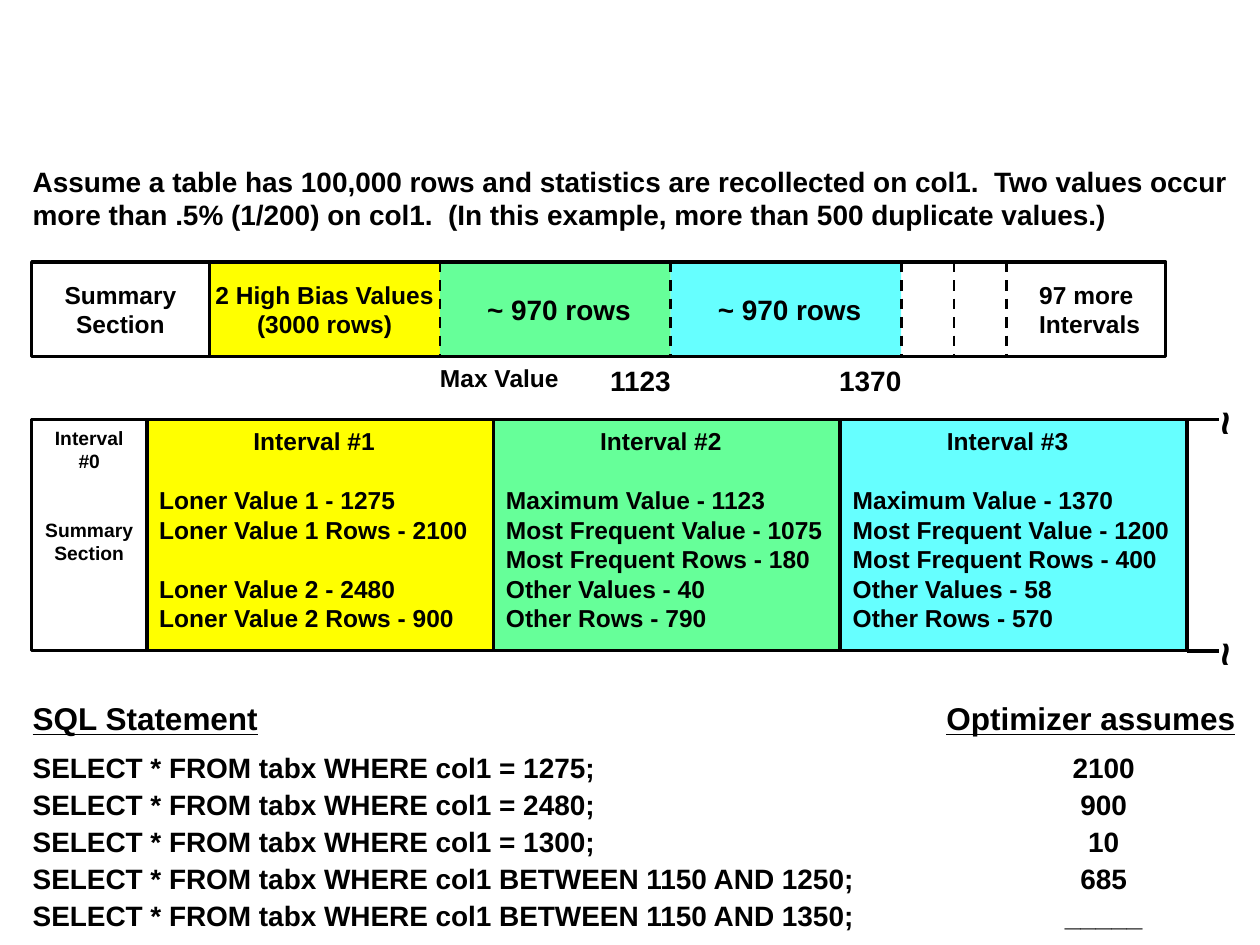
import pptx
import pptx.dml.color
import pptx.enum.dml
import pptx.enum.shapes
import pptx.enum.text
import pptx.oxml.ns
import pptx.util
from lxml import etree

Cm, Pt = pptx.util.Cm, pptx.util.Pt
RGB = pptx.dml.color.RGBColor
ALIGN = pptx.enum.text.PP_ALIGN
ANCHOR = pptx.enum.text.MSO_ANCHOR
DASH = pptx.enum.dml.MSO_LINE.DASH
qn = pptx.oxml.ns.qn

BLACK = RGB(0x00, 0x00, 0x00)
YELLOW = RGB(0xFF, 0xFF, 0x00)
GREEN = RGB(0x66, 0xFF, 0x99)
CYAN = RGB(0x66, 0xFF, 0xFF)
FONT = "Arial"
PAD = 0.25

BAR_CELLS = [
    (YELLOW, ["2 High Bias Values", "(3000 rows)"], None),
    (GREEN, ["~ 970 rows"], "1123"),
    (CYAN, ["~ 970 rows"], "1370"),
]
INTERVALS = [
    (YELLOW, ["\tInterval #1", "Loner Value 1 - 1275", "Loner Value 1 Rows - 2100",
              "Loner Value 2 - 2480", "Loner Value 2 Rows - 900"], {1: 17, 3: 17}),
    (GREEN, ["\tInterval #2", "Maximum Value - 1123", "Most Frequent Value - 1075",
             "Most Frequent Rows - 180", "Other Values - 40", "Other Rows - 790"], {1: 17}),
    (CYAN, ["\tInterval #3", "Maximum Value - 1370", "Most Frequent Value - 1200",
            "Most Frequent Rows - 400", "Other Values - 58", "Other Rows - 570"], {1: 17}),
]
QUERIES = [
    ("= 1275", "2100"),
    ("= 2480", "900"),
    ("= 1300", "10"),
    ("BETWEEN 1150 AND 1250", "685"),
    ("BETWEEN 1150 AND 1350", "_____"),
]


def write_text(frame, lines, size=14, align=ALIGN.LEFT, gaps=None, before=0, after=0,
               tab=None, underline=False):
    """Append paragraphs; gaps maps a line index to its space before, tab is (cm, kind)."""
    for index, line in enumerate(lines):
        first = frame.paragraphs[0]
        paragraph = frame.add_paragraph() if first.runs else first
        if tab:
            tab_list = etree.SubElement(paragraph._p.get_or_add_pPr(), qn("a:tabLst"))
            etree.SubElement(tab_list, qn("a:tab"), pos=str(Cm(tab[0])), algn=tab[1])
        paragraph.alignment = align
        paragraph.space_before = Pt((gaps or {}).get(index, before))
        paragraph.space_after = Pt(after)
        for part in filter(None, line.partition("\t")):
            run = paragraph.add_run()
            run.text = part
            run.font.name, run.font.size, run.font.bold = FONT, Pt(size), True
            run.font.color.rgb = BLACK
            run.font.underline = underline and part != "\t"


def set_frame(frame, insets, anchor):
    frame.word_wrap = True
    frame.vertical_anchor = anchor
    frame.margin_left, frame.margin_right = Cm(insets[0]), Cm(insets[1])
    frame.margin_top = frame.margin_bottom = Cm(0.13)


def add_label(slide, box, lines, insets=(0, 0), **text_format):
    label = slide.shapes.add_textbox(*map(Cm, box))
    set_frame(label.text_frame, insets, ANCHOR.TOP)
    write_text(label.text_frame, lines, **text_format)
    return label


def add_block(slide, box, lines=(), fill=None, border=None, insets=(0, 0),
              anchor=ANCHOR.MIDDLE, **text_format):
    block = slide.shapes.add_shape(pptx.enum.shapes.MSO_SHAPE.RECTANGLE, *map(Cm, box))
    block.shadow.inherit = False
    if fill is None:
        block.fill.background()
    else:
        block.fill.solid()
        block.fill.fore_color.rgb = fill
    if border:
        block.line.color.rgb, block.line.width = BLACK, Pt(border)
    else:
        block.line.fill.background()
    set_frame(block.text_frame, insets, anchor)
    write_text(block.text_frame, lines, **text_format)


def add_rule(slide, start, end, width, dash=None):
    rule = slide.shapes.add_connector(
        pptx.enum.shapes.MSO_CONNECTOR.STRAIGHT, *map(Cm, (*start, *end)))
    rule.line.color.rgb, rule.line.width = BLACK, Pt(width)
    if dash:
        rule.line.dash_style = dash
    etree.SubElement(rule._element.spPr, qn("a:effectLst"))


def build_histogram_bar(slide, left, top, width, height):
    summary_width, cell_width, tick_gap = 3.58, 4.65, 1.06
    cells_left = left + summary_width
    cells_right = cells_left + cell_width * len(BAR_CELLS)
    below = top + height

    add_block(slide, (left, top, summary_width, height), ["Summary", "Section"],
              align=ALIGN.CENTER)
    for index, (color, lines, maximum) in enumerate(BAR_CELLS):
        x = cells_left + index * cell_width
        if maximum:
            add_block(slide, (x, top, cell_width, height), lines, fill=color,
                      insets=(0.95, 0), size=16)
            add_label(slide, (x, below, cell_width, 0.94), [maximum], size=16,
                      align=ALIGN.RIGHT)
        else:
            add_block(slide, (x, top, cell_width, height), lines, fill=color,
                      align=ALIGN.CENTER)
    rest_left = cells_right + 2 * tick_gap
    add_block(slide, (rest_left, top, left + width - rest_left, height),
              ["97 more", "Intervals"], insets=(0.66, 0))
    add_label(slide, (cells_left + cell_width, below, 2.8, 0.86), ["Max Value"])

    add_block(slide, (left, top, width, height), border=2)
    add_rule(slide, (cells_left, top), (cells_left, below), 1.75)
    cell_edges = [cells_left + cell_width * n for n in (1, 2, 3)]
    for x in cell_edges + [cells_right + tick_gap, rest_left]:
        add_rule(slide, (x, top), (x, below), 1.5, DASH.DASH)


def build_interval_details(slide, left, top, width, height):
    summary_width, stub, tilde_width, tilde_height = 2.32, 0.64, 0.99, 1.27
    interval_width = (width - summary_width) / len(INTERVALS)
    for index, (color, lines, gaps) in enumerate(INTERVALS):
        x = left + summary_width + index * interval_width
        add_block(slide, (x, top, interval_width, height), lines, fill=color, border=2,
                  insets=(PAD, 0), anchor=ANCHOR.TOP, gaps=gaps, tab=(1.9, "l"))
    add_block(slide, (left, top, summary_width, height),
              ["Interval #0", "Summary", "Section"], border=2, insets=(PAD, PAD),
              anchor=ANCHOR.TOP, size=11, align=ALIGN.CENTER, gaps={1: 26})

    right = left + width
    for y in (top, top + height):
        add_rule(slide, (right, y), (right + stub, y), 2)
        tilde = add_label(slide, (right + 0.34, y - tilde_height / 2 + 0.08,
                                  tilde_width, tilde_height),
                          ["~"], size=24, align=ALIGN.CENTER)
        tilde.rotation = 90


def build_query_list(slide, box):
    queries = add_label(slide, box, ["SQL Statement\tOptimizer assumes"], (PAD, 0),
                        size=18, after=5.6, tab=(18.42, "l"), underline=True)
    rows = [f"SELECT * FROM tabx WHERE col1 {condition};\t{assumed}"
            for condition, assumed in QUERIES]
    write_text(queries.text_frame, rows, size=16, before=2, tab=(21.59, "ctr"))


def main():
    presentation = pptx.Presentation()
    presentation.slide_width, presentation.slide_height = Cm(25.4), Cm(19.05)
    slide = presentation.slides.add_slide(presentation.slide_layouts[6])
    add_label(slide, (0.41, 3.18, 24.97, 1.63),
              ["Assume a table has 100,000 rows and statistics are recollected on col1.  "
               "Two values occur more than .5% (1/200) on col1.  "
               "(In this example, more than 500 duplicate values.)"],
              (PAD, PAD), size=16)
    build_histogram_bar(slide, 0.64, 5.28, 22.86, 1.91)
    build_interval_details(slide, 0.64, 8.46, 23.29, 4.66)
    build_query_list(slide, (0.41, 13.97, 24.97, 4.95))
    presentation.save("out.pptx")


if __name__ == "__main__":
    main()
